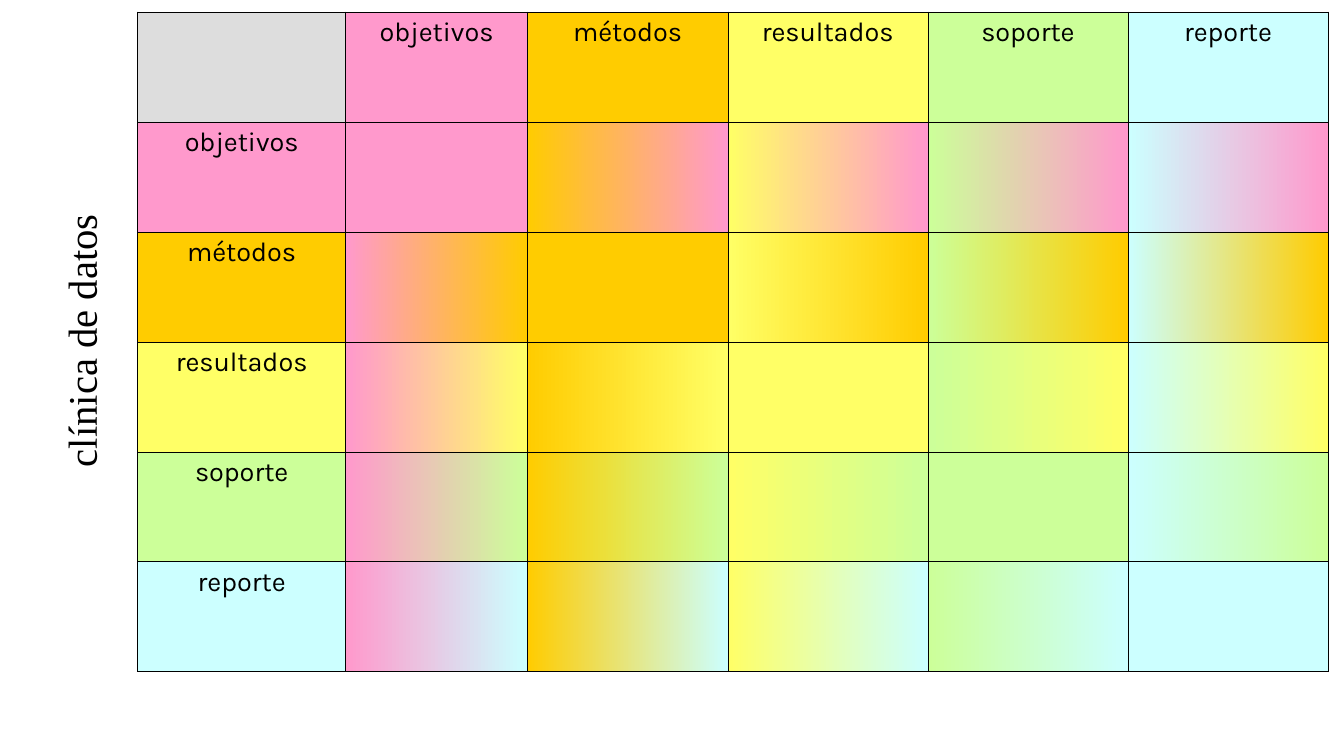
from pptx import Presentation
from pptx.dml.color import RGBColor
from pptx.enum.text import MSO_ANCHOR as Anchor, MSO_AUTO_SIZE as Fit, PP_ALIGN as Align
from pptx.oxml import parse_xml
from pptx.oxml.ns import nsdecls
from pptx.util import Cm, Pt

TOPICS = {
    "objetivos": "FF99CC",
    "métodos": "FFCC00",
    "resultados": "FFFF66",
    "soporte": "CCFF99",
    "reporte": "CCFFFF",
}
GREY = "DDDDDD"
BLACK = "000000"
WIDTHS = [4.33, 3.79] + [4.17] * 4
HEIGHT = 2.29


def tint(code):
    """Turn a hex string into a colour."""
    return RGBColor.from_string(code)


def assign(item, values):
    """Set each named value on an item."""
    for name, value in values.items():
        setattr(item, name, value)


class Deck:
    """Hold the style and the current slide."""

    label = {"name": "Karla", "size": Pt(16), "bold": False}
    head = {"name": "Times New Roman", "size": Pt(24), "bold": False}
    para = {"alignment": Align.CENTER, "line_spacing": 0.93, "space_before": Pt(5)}
    frame = {"word_wrap": False, "auto_size": Fit.SHAPE_TO_FIT_TEXT,
             "vertical_anchor": Anchor.TOP}
    plain = {"first_row": False, "horz_banding": False}

    def __init__(self):
        """Start a deck with one title-only slide."""
        self.prs = Presentation()
        assign(self.prs, {"slide_width": Cm(28), "slide_height": Cm(15.75)})
        self.slide = self.prs.slides.add_slide(self.prs.slide_layouts[5])

    def line(self, frame, text, font, para):
        """Put one formatted line in a text frame."""
        first = frame.paragraphs[0]
        assign(first, para)
        run = first.add_run()
        run.text = text
        assign(run.font, font)
        run.font.color.rgb = tint(BLACK)

    def title(self, text, left, top, width, height):
        """Place the title upright along the left side."""
        shape = self.slide.shapes.title
        assign(shape, {"left": Cm(left), "top": Cm(top), "width": Cm(width),
                       "height": Cm(height), "rotation": 270})
        assign(shape.text_frame, self.frame)
        self.line(shape.text_frame, text, self.head, {"alignment": Align.LEFT})

    def grid(self, left, top, widths, height, count):
        """Add a plain table with equal rows."""
        table = self.slide.shapes.add_table(
            count, len(widths), Cm(left), Cm(top),
            Cm(sum(widths)), Cm(height * count)).table
        assign(table, self.plain)
        for col, width in zip(table.columns, widths):
            col.width = Cm(width)
        for row in table.rows:
            row.height = Cm(height)
        return table

    def edge(self, cell, outer):
        """Draw four borders, thicker on the outer sides."""
        props = cell._tc.get_or_add_tcPr()
        for side in "LRTB":
            width = Pt(0.5 if side in outer else 0.23)
            props.append(parse_xml(
                f'<a:ln{side} {nsdecls("a")} w="{width}"><a:solidFill>'
                f'<a:srgbClr val="{BLACK}"/></a:solidFill></a:ln{side}>'))

    def paint(self, cell, start, end):
        """Fill a cell with one colour or a blend of two."""
        if start == end:
            cell.fill.solid()
            cell.fill.fore_color.rgb = tint(start)
            return
        fill = cell.fill
        fill.gradient()
        fill.gradient_angle = 0
        for stop, code in zip(fill.gradient_stops, (start, end)):
            stop.color.rgb = tint(code)

    def matrix(self, topics, left, top, widths, height):
        """Cross the topics, blending column colour into row colour."""
        names = [""] + list(topics)
        tones = [GREY] + list(topics.values())
        last = len(topics)
        table = self.grid(left, top, widths, height, last + 1)
        for row in range(last + 1):
            for col in range(last + 1):
                cell = table.cell(row, col)
                sides = {"L": col == 0, "R": col == last,
                         "T": row == 0, "B": row == last}
                self.edge(cell, [side for side, on in sides.items() if on])
                if row and col:
                    self.paint(cell, tones[col], tones[row])
                    continue
                lead = row + col
                self.paint(cell, tones[lead], tones[lead])
                if lead:
                    self.line(cell.text_frame, names[lead], self.label, self.para)


def main():
    """Build and save the slide."""
    deck = Deck()
    deck.matrix(TOPICS, 2.87, 0.25, WIDTHS, HEIGHT)
    deck.title("clínica de datos", -1.57, 5.97, 6.63, 1.4)
    deck.prs.save("out.pptx")


if __name__ == "__main__":
    main()
